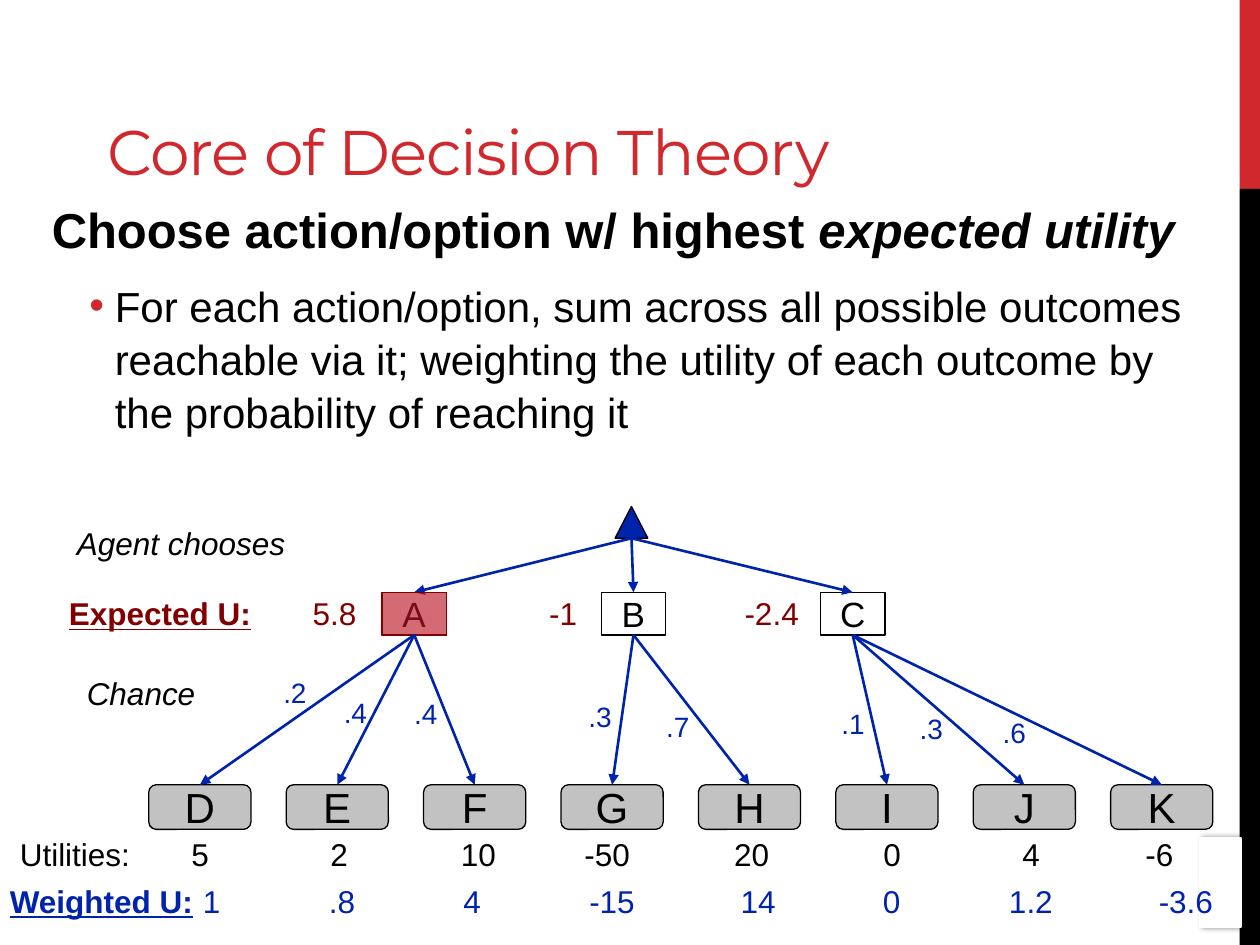
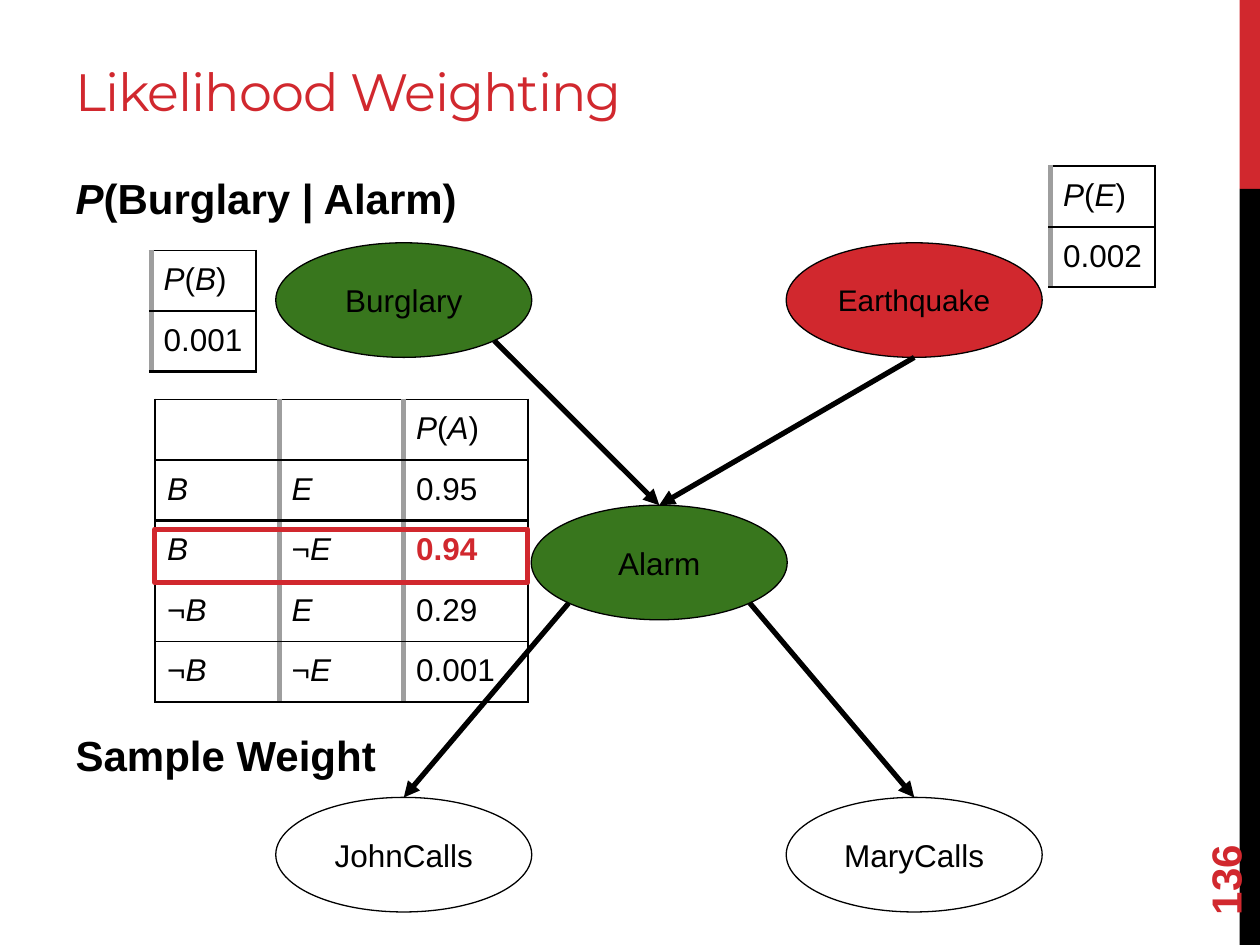
import math
from itertools import groupby

from lxml import etree
from pptx import Presentation
from pptx.dml.color import RGBColor
from pptx.enum.shapes import MSO_CONNECTOR, MSO_SHAPE
from pptx.enum.text import MSO_ANCHOR, MSO_AUTO_SIZE, PP_ALIGN
from pptx.oxml.ns import qn
from pptx.util import Cm, Pt

RECTANGLE, ROUNDED = MSO_SHAPE.RECTANGLE, MSO_SHAPE.ROUNDED_RECTANGLE
TRIANGLE, OVAL = MSO_SHAPE.ISOSCELES_TRIANGLE, MSO_SHAPE.OVAL
STRAIGHT = MSO_CONNECTOR.STRAIGHT
MIDDLE, BOTTOM, TOP = MSO_ANCHOR.MIDDLE, MSO_ANCHOR.BOTTOM, MSO_ANCHOR.TOP
CENTER = PP_ALIGN.CENTER

COLORS = {
    "red": "D1282E", "black": "000000", "white": "FFFFFF", "blue": "0023AB",
    "maroon": "800000", "crimson": "BC1422", "silver": "C2C2C2",
    "gray": "9E9E9E", "green": "38761D",
}
BODY_FONT, TITLE_FONT = "Arial", "Montserrat"

# Bands on the right edge: left, top, width, height in cm
BANDS = [("red", (24.99, 0, 0.41, 3.81)), ("black", (24.99, 3.81, 0.41, 15.24))]

# Decision tree. Option: name, expected utility, its left, outcomes.
# Outcome: name, chance, place of the chance, utility, its tab stop,
# weighted utility, its left.
OPTIONS = [
    ("A", "5.8", 6.05, [
        ("D", ".2", (5.46, 13.49), "5", 3.46, "1", 3.84),
        ("E", ".4", (6.68, 13.89), "2", 6.26, ".8", 6.38),
        ("F", ".4", (8.1, 13.92), "10", 8.89, "4", 9.09)]),
    ("B", "-1", 10.82, [
        ("G", ".3", (11.61, 13.97), "-50", 11.38, "-15", 11.63),
        ("H", ".7", (13.18, 14.17), "20", 14.4, "14", 14.68)]),
    ("C", "-2.4", 14.76, [
        ("I", ".1", (16.71, 14.12), "0", 17.41, "0", 17.55),
        ("J", ".3", (18.29, 14.22), "4", 20.21, "1.2", 20.09),
        ("K", ".6", (19.96, 14.3), "-6", 22.69, "-3.6", 23.11)]),
]
BEST_OPTION = "A"
ROOT = (12.4, 10.21, 0.66, 0.64)
OPTION_LEFT, OPTION_TOP, OPTION_STEP, OPTION_SIZE = 7.7, 11.94, 4.42, (1.3, 0.86)
OUTCOME_LEFT, OUTCOME_TOP, OUTCOME_STEP, OUTCOME_SIZE = 3, 15.82, 2.77, (2.06, 0.9)
EXPECTED_TOP, UTILITY_TOP, WEIGHTED_TOP = 11.86, 16.71, 17.65
STAGES = [("Agent chooses", (1.3, 10.44)), ("Chance", (1.5, 13.46))]

# Bayesian network: name, centre, fill, text size
NODES = [
    ("Burglary", (8.14, 6.05), "green", 18),
    ("Earthquake", (18.43, 6.05), "red", 17),
    ("Alarm", (13.29, 11.34), "green", 18),
    ("JohnCalls", (8.14, 17.23), None, 18),
    ("MaryCalls", (18.43, 17.23), None, 18),
]
NODE_SIZE = (5.16, 2.31)
# From, to, and the angle in degrees away from the bottom of the first node
EDGES = [("Burglary", "Alarm", 45), ("Earthquake", "Alarm", 0),
         ("Alarm", "JohnCalls", -45), ("Alarm", "MaryCalls", 45)]
ALARM_ROWS = [["", "", "P(A)"], ["B", "E", "0.95"], ["B", "¬E", "0.94"],
              ["¬B", "E", "0.29"], ["¬B", "¬E", "0.001"]]
EVIDENCE = "0.94"
ROW_HEIGHT = 1.22
# Place, column width, left border, rows
TABLES = [
    ((3.12, 8.05), 2.51, ("black", 1), ALARM_ROWS),
    ((21.18, 3.35), 2.11, ("gray", 3), [["P(E)"], ["0.002"]]),
    ((3.05, 5.05), 2.11, ("gray", 3), [["P(B)"], ["0.001"]]),
]


def rgb(name):
    return RGBColor.from_string(COLORS[name])


def cm(values):
    return [Cm(value) for value in values]


def add_xml(parent, tag, **attributes):
    element = etree.SubElement(parent, qn(tag))
    for key, value in attributes.items():
        element.set(key, str(value))
    return element


def shape_properties(shape):
    return shape.element.find(qn("p:spPr"))


def set_font(paragraph, size, color="black", name=BODY_FONT, bold=False,
             italic=False, underline=False):
    font = paragraph.font
    font.name, font.size, font.color.rgb = name, Pt(size), rgb(color)
    font.bold, font.italic, font.underline = bold, italic, underline


def add_runs(paragraph, runs):
    for text, italic in runs:
        run = paragraph.add_run()
        run.text = text
        run.font.italic = italic


def add_shape(slide, kind, box, fill=None, line=None, text="", size=18):
    """line is a (colour, points) pair."""
    shape = slide.shapes.add_shape(kind, *cm(box))
    shape.shadow.inherit = False
    if fill:
        shape.fill.solid()
        shape.fill.fore_color.rgb = rgb(fill)
    else:
        shape.fill.background()
    if line:
        shape.line.color.rgb, shape.line.width = rgb(line[0]), Pt(line[1])
    else:
        shape.line.fill.background()
    if text:
        frame = shape.text_frame
        frame.word_wrap, frame.vertical_anchor = False, MIDDLE
        frame.margin_top = frame.margin_bottom = 0
        paragraph = frame.paragraphs[0]
        paragraph.text, paragraph.alignment = text, CENTER
        set_font(paragraph, size)
    return shape


def add_label(slide, text, place, size=18, color="black", width=None, **style):
    """Without a width, the box fits the digits and signs of a number."""
    if width is None:
        ems = sum({".": 0.278, "-": 0.333}.get(sign, 0.556) for sign in text)
        width = 0.51 + ems * size / 72 * 2.54
    box = slide.shapes.add_textbox(*cm((*place, width, 0.3 + size * 0.04)))
    box.text_frame.word_wrap = False
    paragraph = box.text_frame.paragraphs[0]
    paragraph.text = text
    set_font(paragraph, size, color, **style)
    return box


def add_arrow(slide, start, end, color, width):
    arrow = slide.shapes.add_connector(STRAIGHT, *cm((*start, *end)))
    arrow.line.color.rgb, arrow.line.width = rgb(color), Pt(width)
    properties = shape_properties(arrow)
    add_xml(properties.find(qn("a:ln")), "a:tailEnd", type="triangle")
    add_xml(properties, "a:effectLst")


def fill_placeholder(placeholder, box, anchor):
    placeholder.left, placeholder.top, placeholder.width, placeholder.height = cm(box)
    frame = placeholder.text_frame
    frame.auto_size, frame.vertical_anchor = MSO_AUTO_SIZE.NONE, anchor
    frame.word_wrap = True
    return frame


def add_slide(presentation, title, title_box, title_size, body_box):
    """Returns the slide and the text frame of its body."""
    slide = presentation.slides.add_slide(presentation.slide_layouts[1])
    paragraph = fill_placeholder(slide.shapes.title, title_box, BOTTOM).paragraphs[0]
    paragraph.text = title
    set_font(paragraph, title_size, "red", TITLE_FONT)
    return slide, fill_placeholder(slide.placeholders[1], body_box, TOP)


def add_body_line(paragraph, runs, size, bold, before=0, after=0, bullet=False):
    paragraph.line_spacing = 1.05
    paragraph.space_before, paragraph.space_after = Pt(before), Pt(after)
    properties = paragraph._p.get_or_add_pPr()
    if bullet:
        paragraph.level = 1
        properties.set("marL", str(Cm(1.27)))
        properties.set("indent", str(Cm(-0.51)))
        add_xml(add_xml(properties, "a:buClr"), "a:srgbClr", val=COLORS["red"])
        add_xml(properties, "a:buFont", typeface=BODY_FONT)
        add_xml(properties, "a:buChar", char="•")
    else:
        properties.set("marL", "0")
        properties.set("indent", "0")
        add_xml(properties, "a:buNone")
    add_runs(paragraph, runs)
    set_font(paragraph, size, bold=bold)


def style_master(presentation, slide):
    master = presentation.slide_master.element
    title_style = master.xpath(".//p:titleStyle/a:lvl1pPr")[0]
    title_style.set("algn", "l")
    title_style.find(qn("a:defRPr")).set("spc", "-60")
    tree = master.xpath("./p:cSld/p:spTree")[0]
    for color, box in BANDS:
        tree.append(add_shape(slide, RECTANGLE, box, color).element)


def add_number_cover(slide):
    cover = add_shape(slide, RECTANGLE, (24.18, 16.89, 0.84, 1.8), "white", ("white", 1))
    effects = shape_properties(cover).find(qn("a:effectLst"))
    shadow = add_xml(effects, "a:outerShdw", blurRad=Pt(3.1), dist=Pt(1.8), dir=0)
    shade = add_xml(shadow, "a:srgbClr", val=COLORS["black"])
    add_xml(shade, "a:alpha", val=40000)


def add_utilities(slide, outcomes):
    text = "\t".join(["Utilities:"] + [outcome[3] for outcome in outcomes])
    box = slide.shapes.add_textbox(*cm((0.15, UTILITY_TOP, 24.69, 1.02)))
    box.text_frame.word_wrap = True
    paragraph = box.text_frame.paragraphs[0]
    tabs = add_xml(paragraph._p.get_or_add_pPr(), "a:tabLst")
    for outcome in outcomes:
        add_xml(tabs, "a:tab", pos=Cm(outcome[4]), algn="l")
    paragraph.add_run().text = text
    set_font(paragraph, 18)


def add_decision_tree(slide):
    root_bottom = (ROOT[0] + ROOT[2] / 2, ROOT[1] + ROOT[3])
    black_line = ("black", 0.75)
    outcomes = []
    add_shape(slide, TRIANGLE, ROOT, "blue", black_line)
    for index, (name, expected, expected_left, branches) in enumerate(OPTIONS):
        left = OPTION_LEFT + index * OPTION_STEP
        middle = left + OPTION_SIZE[0] / 2
        box = (left, OPTION_TOP, *OPTION_SIZE)
        add_shape(slide, RECTANGLE, box, "white", black_line, name, 20)
        add_arrow(slide, root_bottom, (middle, OPTION_TOP), "blue", 1.5)
        add_label(slide, expected, (expected_left, EXPECTED_TOP), color="maroon")
        if name == BEST_OPTION:
            veil = add_shape(slide, RECTANGLE, box, "crimson", ("maroon", 0.75))
            tint = shape_properties(veil).find(qn("a:solidFill"))[0]
            add_xml(tint, "a:alpha", val=63000)
        for outcome, chance, place, _, _, weighted, weighted_left in branches:
            left = OUTCOME_LEFT + len(outcomes) * OUTCOME_STEP
            outcomes.append(branches[len(outcomes) - sum(
                len(option[3]) for option in OPTIONS[:index])])
            add_shape(slide, ROUNDED, (left, OUTCOME_TOP, *OUTCOME_SIZE),
                      "silver", black_line, outcome, 24)
            add_arrow(slide, (middle, OPTION_TOP + OPTION_SIZE[1]),
                      (left + OUTCOME_SIZE[0] / 2, OUTCOME_TOP), "blue", 1.5)
            add_label(slide, chance, place, 16, "blue")
            add_label(slide, weighted, (weighted_left, WEIGHTED_TOP), color="blue")
    add_utilities(slide, outcomes)
    heading = {"width": 4.23, "bold": True, "underline": True}
    add_label(slide, "Expected U:", (1.14, EXPECTED_TOP), color="maroon", **heading)
    add_label(slide, "Weighted U:", (-0.05, WEIGHTED_TOP), color="blue", **heading)
    for text, place in STAGES:
        add_label(slide, text, place, width=5.36, italic=True)


def add_network(slide):
    width, height = NODE_SIZE
    centers = {name: center for name, center, _, _ in NODES}
    for name, (x, y), fill, size in NODES:
        add_shape(slide, OVAL, (x - width / 2, y - height / 2, width, height),
                  fill, ("black", 0.75), name, size)
    for source, target, degrees in EDGES:
        (x, y), (target_x, target_y) = centers[source], centers[target]
        angle = math.radians(degrees)
        start = (x + width / 2 * math.sin(angle), y + height / 2 * math.cos(angle))
        add_arrow(slide, start, (target_x, target_y - height / 2), "black", 3)


def set_borders(cell, **borders):
    properties = cell._tc.get_or_add_tcPr()
    for position, side in enumerate(("L", "R", "T", "B")):
        color, width = borders[side]
        line = etree.Element(qn(f"a:ln{side}"), w=str(Pt(width)))
        add_xml(add_xml(line, "a:solidFill"), "a:srgbClr", val=COLORS[color])
        properties.insert(position, line)


def add_probability_table(slide, place, column_width, left_border, rows):
    columns, last_row = len(rows[0]), len(rows) - 1
    box = (*place, column_width * columns, ROW_HEIGHT * len(rows))
    table = slide.shapes.add_table(len(rows), columns, *cm(box)).table
    table.first_row = table.horz_banding = False
    thin, thick, divider = ("black", 1), ("black", 1.5), ("gray", 3)
    row_lines = [thin] + [thick if row < 2 else thin for row in range(last_row)] + [thick]
    column_lines = [left_border] + [divider] * (columns - 1) + [thick]
    for row, texts in enumerate(rows):
        for column, text in enumerate(texts):
            cell = table.cell(row, column)
            cell.fill.background()
            cell.margin_left, cell.margin_right = Cm(0.25), Cm(0.15)
            cell.margin_top = cell.margin_bottom = Cm(0.24)
            set_borders(cell, L=column_lines[column], R=column_lines[column + 1],
                        T=row_lines[row], B=row_lines[row + 1])
            paragraph = cell.text_frame.paragraphs[0]
            pieces = groupby(text, lambda sign: sign.isalpha() or sign == "¬")
            add_runs(paragraph, [("".join(signs), italic) for italic, signs in pieces])
            marked = text == EVIDENCE
            set_font(paragraph, 18, "red" if marked else "black", bold=marked)


def add_page_number(slide, number):
    box = add_label(slide, number, (22.86, 16.36), 24, "red", width=3.66, bold=True)
    box.height, box.rotation = Cm(1.02), 270
    box.text_frame.word_wrap, box.text_frame.vertical_anchor = True, MIDDLE


def main():
    presentation = Presentation()
    presentation.slide_width, presentation.slide_height = Cm(25.4), Cm(19.05)

    slide, body = add_slide(presentation, "Core of Decision Theory",
                            (1.91, 0.74, 21.59, 3.18), 36, (0.79, 3.84, 23.52, 6.22))
    style_master(presentation, slide)
    add_body_line(body.paragraphs[0], [("Choose action/option w/ highest ", False),
                                       ("expected utility", True)], 28, True, after=6)
    add_body_line(body.add_paragraph(), [(
        "For each action/option, sum across all possible outcomes reachable via it; "
        "weighting the utility of each outcome by the probability of reaching it",
        False)], 24, False, before=5, bullet=True)
    add_number_cover(slide)
    add_decision_tree(slide)

    slide, body = add_slide(presentation, "Likelihood Weighting",
                            (1.27, 0.43, 22.45, 2.16), 30, (1.27, 3.3, 22.45, 15.37))
    add_body_line(body.paragraphs[0], [("P", True), ("(Burglary | Alarm)", False)], 24, True)
    add_body_line(body.add_paragraph(), [("Sample Weight", False)], 24, True, before=288)
    add_network(slide)
    for table in TABLES:
        add_probability_table(slide, *table)
    add_shape(slide, RECTANGLE, (3.12, 10.67, 7.52, 1.07), line=("red", 3))
    add_page_number(slide, "136")

    presentation.save("out.pptx")


if __name__ == "__main__":
    main()
